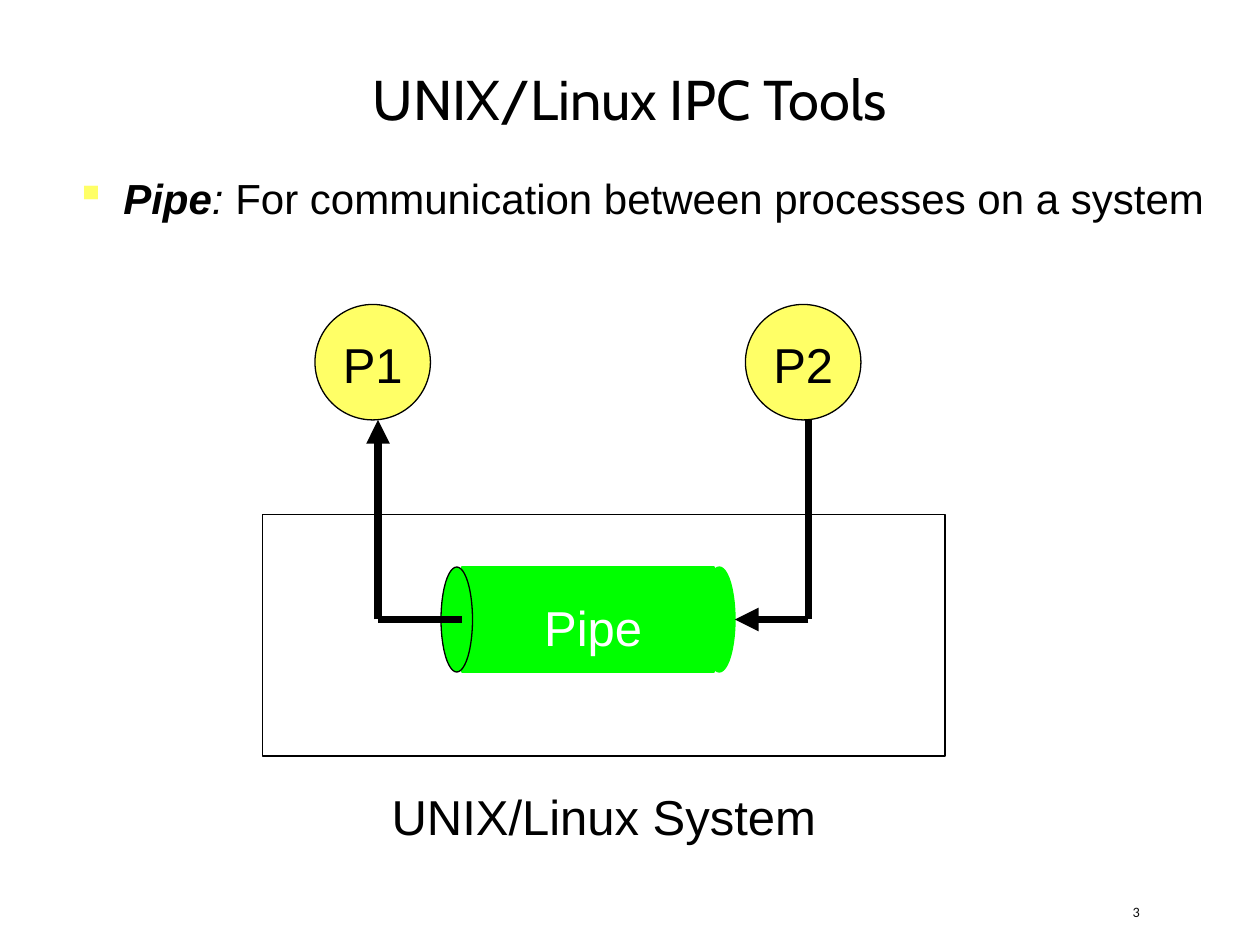
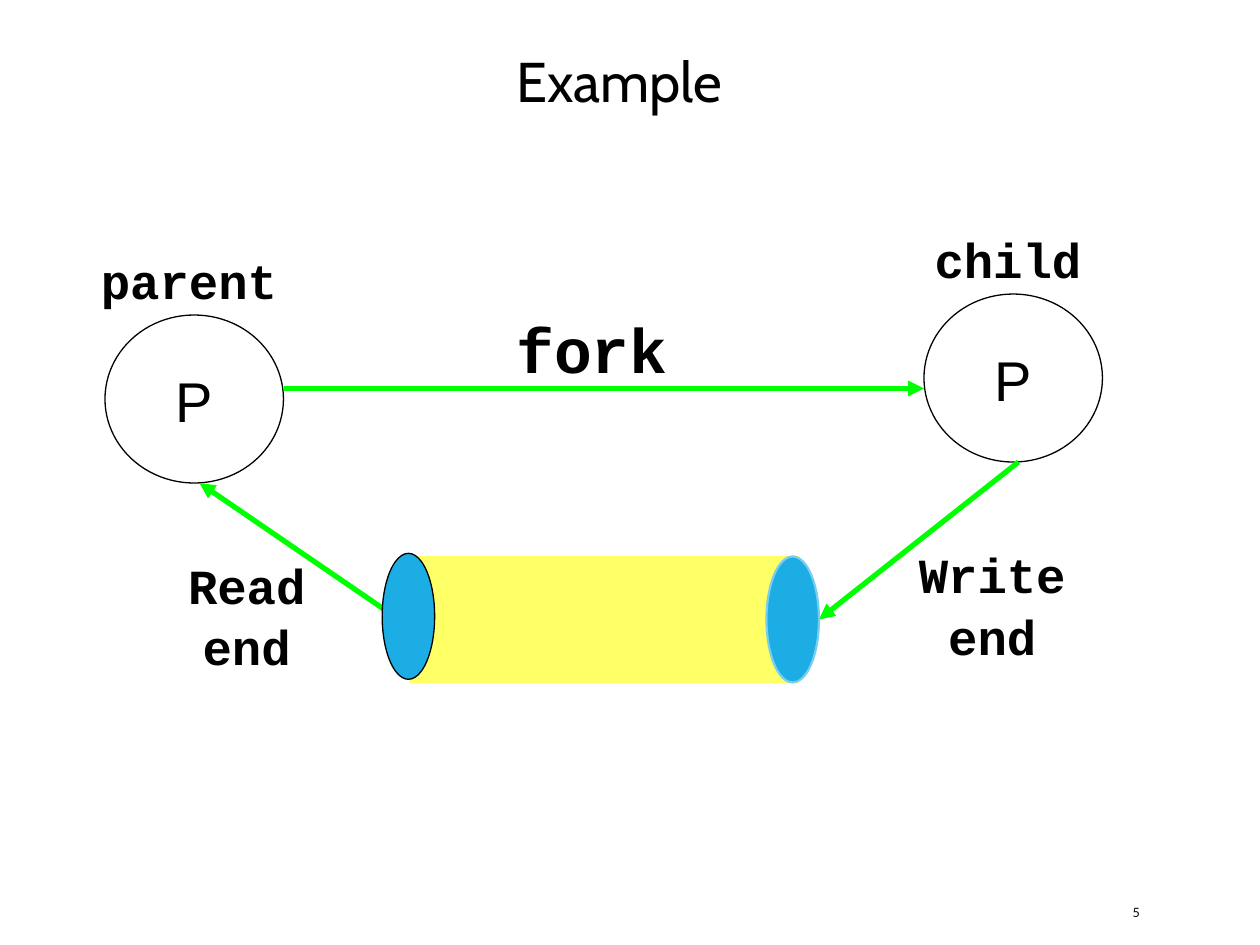
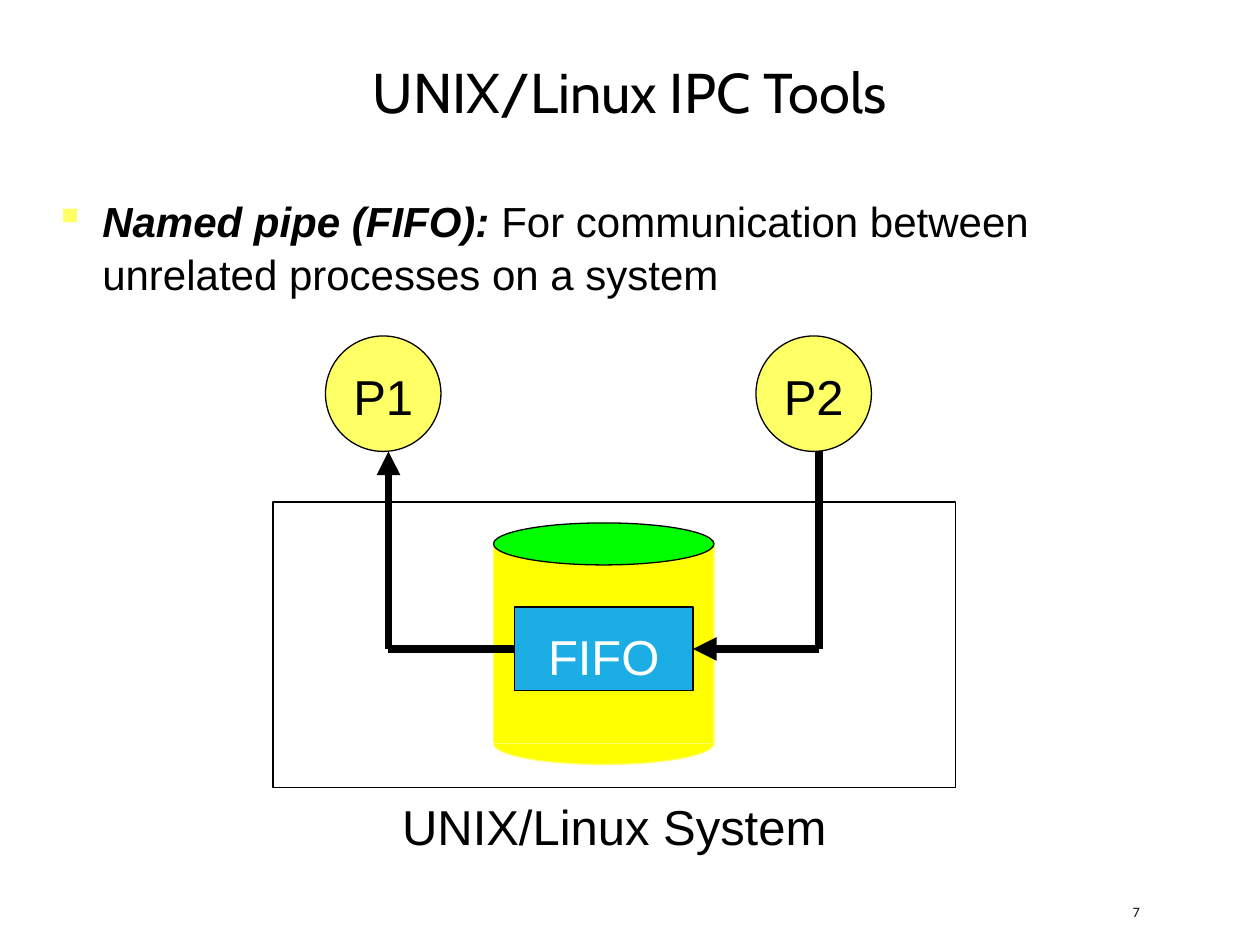
from typing import NamedTuple

from lxml.etree import SubElement
from pptx import Presentation
from pptx.dml.color import RGBColor
from pptx.enum.shapes import MSO_CONNECTOR, MSO_SHAPE
from pptx.enum.text import MSO_ANCHOR, PP_ALIGN
from pptx.oxml.ns import qn
from pptx.util import Inches, Length, Pt

COLORS = {
    "black": "000000",
    "white": "FFFFFF",
    "gray": "0D0D0D",
    "lemon": "FFFF66",
    "yellow": "FFFF00",
    "green": "00FF00",
    "blue": "1CADE4",
    "sky": "77CEEF",
}
OVAL, RECT = MSO_SHAPE.OVAL, MSO_SHAPE.RECTANGLE
LEFT, CENTER = PP_ALIGN.LEFT, PP_ALIGN.CENTER
TOP, MIDDLE = MSO_ANCHOR.TOP, MSO_ANCHOR.MIDDLE
WIDE, HIGH = Inches(10), Inches(7.5)
COLS, ROWS = 120, 90


class Box(NamedTuple):
    x: float
    y: float
    w: float
    h: float


class Style(NamedTuple):
    size: float = 28
    font: str = "Arial"
    color: str = "black"
    bold: bool = False
    align: PP_ALIGN = CENTER
    anchor: MSO_ANCHOR = TOP


class Part(NamedTuple):
    kind: MSO_SHAPE
    box: Box
    fill: str
    line: str = "black"
    width: float = 0.75


class Label(NamedTuple):
    text: str
    box: Box
    style: Style


PLAIN = Style()
LIGHT = Style(color="white")
BIG = Style(32)
CODE = Style(font="Courier New", bold=True)
FORK = CODE._replace(size=36, align=LEFT)
TITLE = Style(32, "Cabin", anchor=MIDDLE)
NUMBER = Style(8.2, "Calibri", "gray", align=LEFT, anchor=MIDDLE)
BULLET = Style(24, align=LEFT)


def rgb(name: str) -> RGBColor:
    return RGBColor.from_string(COLORS[name])


def col(n: float) -> Length:
    return Length(round(WIDE * n / COLS))


def row(n: float) -> Length:
    return Length(round(HIGH * n / ROWS))


def place(box: Box) -> tuple:
    return col(box.x), row(box.y), col(box.w), row(box.h)


def dress(frame, style: Style) -> None:
    frame.word_wrap = True
    frame.vertical_anchor = style.anchor
    for para in frame.paragraphs:
        para.alignment = style.align
        para.line_spacing = 1.05
        para.space_before = Pt(0)
        for run in para.runs:
            run.font.size = Pt(style.size)
            run.font.name = style.font
            run.font.bold = style.bold
            run.font.color.rgb = rgb(style.color)


def write(slide, label: Label) -> None:
    frame = slide.shapes.add_textbox(*place(label.box)).text_frame
    frame.text = label.text
    dress(frame, label.style)


def draw(slide, part: Part) -> None:
    shape = slide.shapes.add_shape(part.kind, *place(part.box))
    shape.shadow.inherit = False
    shape.fill.solid()
    shape.fill.fore_color.rgb = rgb(part.fill)
    shape.line.color.rgb = rgb(part.line)
    shape.line.width = Pt(part.width)


def route(slide, points: list, color: str, width: float) -> None:
    for start, end in zip(points, points[1:]):
        link = slide.shapes.add_connector(
            MSO_CONNECTOR.STRAIGHT,
            col(start[0]), row(start[1]), col(end[0]), row(end[1]))
        link.line.color.rgb = rgb(color)
        link.line.width = Pt(width)
        if end == points[-1]:
            SubElement(link.line._get_or_add_ln(), qn("a:tailEnd"), type="triangle")
        SubElement(link._element.spPr, qn("a:effectLst"))


def bullet(slide, box: Box, runs: list) -> None:
    frame = slide.shapes.add_textbox(*place(box)).text_frame
    para = frame.paragraphs[0]
    props = para._p.get_or_add_pPr()
    props.set("marL", str(Inches(0.38)))
    props.set("indent", str(-Inches(0.38)))
    tint = SubElement(props, qn("a:buClr"))
    SubElement(tint, qn("a:srgbClr"), val=COLORS["lemon"])
    SubElement(props, qn("a:buChar"), char="▪")
    for text, _, _ in runs:
        para.add_run().text = text
    dress(frame, BULLET)
    for run, (_, bold, slant) in zip(para.runs, runs):
        run.font.bold, run.font.italic = bold, slant


def start(deck, title: str, box: Box, number: int):
    slide = deck.slides.add_slide(deck.slide_layouts[5])
    head = slide.shapes.title
    head.left, head.top, head.width, head.height = place(box)
    head.text_frame.text = title
    dress(head.text_frame, TITLE)
    write(slide, Label(str(number), Box(106.7, 85, 9.6, 3.6), NUMBER))
    return slide


def system(slide, top: float, frame: Box, base: float) -> None:
    for name, shift in (("P1", 5), ("P2", 46)):
        left = frame.x + shift
        draw(slide, Part(OVAL, Box(left, top, 11, 11), "lemon"))
        write(slide, Label(name, Box(left + 1, top + 2, 9, 6.8), PLAIN))
    draw(slide, Part(RECT, frame, "white"))
    write(slide, Label("UNIX/Linux System", Box(frame.x, base, frame.w, 6.8), PLAIN))


def flow(slide, top: float, frame: Box, level: float, left: float, right: float) -> None:
    first, second, foot = frame.x + 11, frame.x + 52, top + 11
    route(slide, [(second, foot), (second, level), (right, level)], "black", 4.5)
    route(slide, [(left, level), (first, level), (first, foot)], "black", 4.5)


def pipe(deck) -> None:
    slide = start(deck, "UNIX/Linux IPC Tools", Box(6, 3, 108, 12.4), 3)
    bullet(slide, Box(6, 15.6, 111, 19), [
        ("Pipe", True, True),
        (": ", False, True),
        ("For communication between processes on a system", False, False)])
    frame = Box(25, 49, 65, 23)
    system(slide, 29, frame, 74)
    for part in (
        Part(OVAL, Box(67, 54, 3, 10), "green", "green"),
        Part(RECT, Box(44, 54, 24, 10), "green", "green"),
        Part(OVAL, Box(42, 54, 3, 10), "green"),
    ):
        draw(slide, part)
    flow(slide, 29, frame, 59, 44, 70)
    write(slide, Label("Pipe", Box(50, 56, 13, 6.8), LIGHT))


def fork(deck) -> None:
    slide = start(deck, "Example", Box(6, 2, 106, 11), 5)
    for left, top in ((10, 30), (88, 28)):
        draw(slide, Part(OVAL, Box(left, top, 17, 16), "white"))
        write(slide, Label("P", Box(left + 1, top + 4, 15, 7.5), BIG))
    for points in (
        [(27, 37), (88, 37)],
        [(97, 44), (78, 59)],
        [(38, 59), (19, 46)],
    ):
        route(slide, points, "green", 3)
    for label in (
        Label("fork", Box(48, 28.6, 18, 8.4), FORK),
        Label("parent", Box(8, 23, 20, 6.8), CODE),
        Label("child", Box(87, 21, 18, 6.8), CODE),
        Label("Write end", Box(84, 51, 21, 12.4), CODE),
        Label("Read end", Box(15, 52, 17, 12.4), CODE),
    ):
        write(slide, label)
    for part in (
        Part(RECT, Box(39, 53, 37, 12), "lemon", "lemon"),
        Part(OVAL, Box(36.4, 52.7, 5, 12), "blue"),
        Part(OVAL, Box(73, 53, 5, 12), "blue", "sky", 1.25),
    ):
        draw(slide, part)


def fifo(deck) -> None:
    slide = start(deck, "UNIX/Linux IPC Tools", Box(6, 3, 108, 11), 7)
    bullet(slide, Box(4, 17.8, 111, 19.2), [
        ("Named pipe (FIFO): ", True, True),
        ("For communication between unrelated processes on a system", False, False)])
    frame = Box(26, 47.8, 65, 27.2)
    system(slide, 32, frame, 75)
    for part in (
        Part(OVAL, Box(47, 68.8, 21, 4), "yellow", "lemon"),
        Part(RECT, Box(47, 51.8, 21, 19), "yellow", "lemon"),
        Part(OVAL, Box(47, 49.8, 21, 4), "green"),
        Part(RECT, Box(49, 57.8, 17, 8), "blue"),
    ):
        draw(slide, part)
    write(slide, Label("FIFO", Box(49, 58.8, 17, 6.8), LIGHT))
    flow(slide, 32, frame, 61.8, 49, 66)


def main() -> None:
    deck = Presentation()
    deck.slide_width, deck.slide_height = WIDE, HIGH
    for make in (pipe, fork, fifo):
        make(deck)
    deck.save("out.pptx")


if __name__ == "__main__":
    main()
